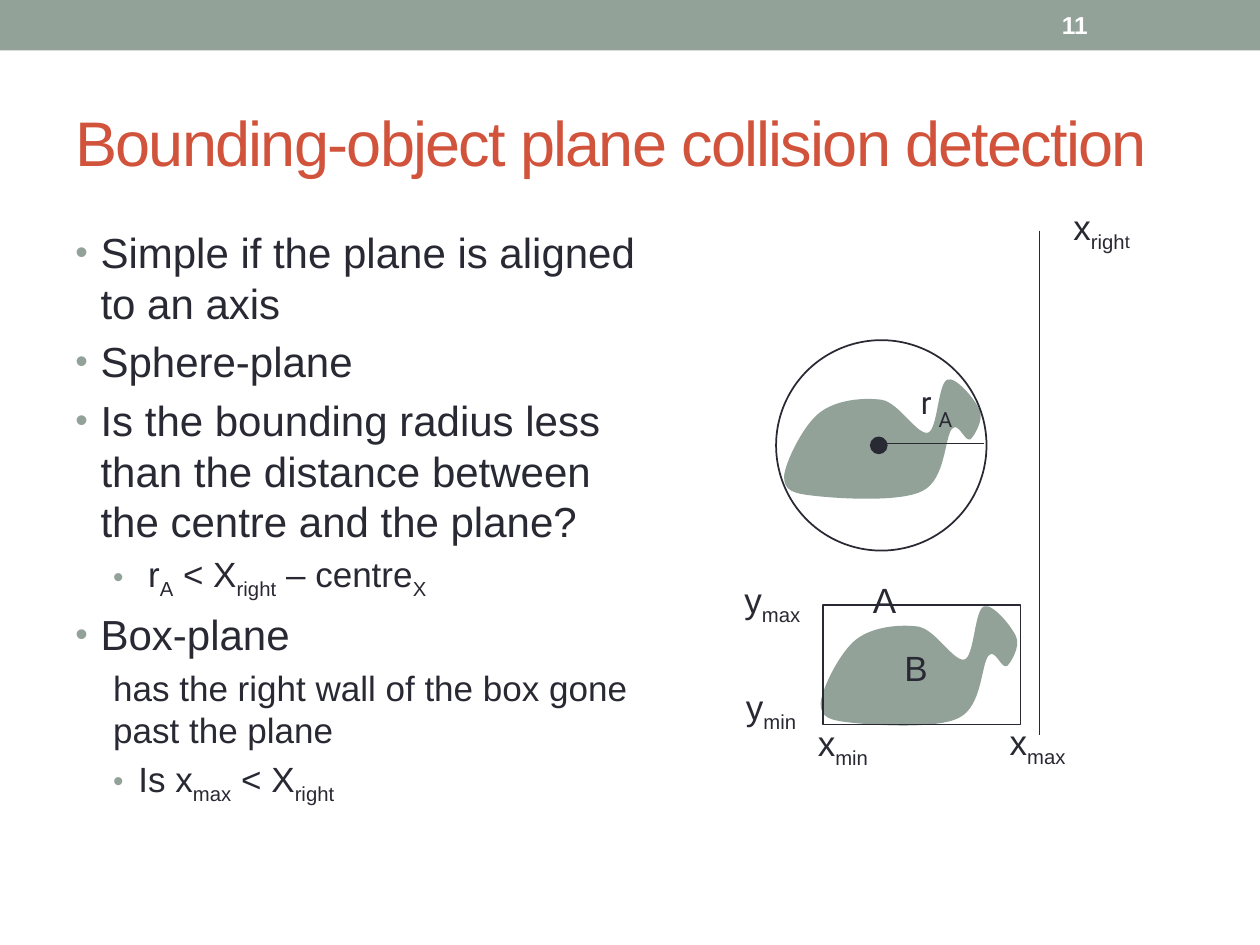
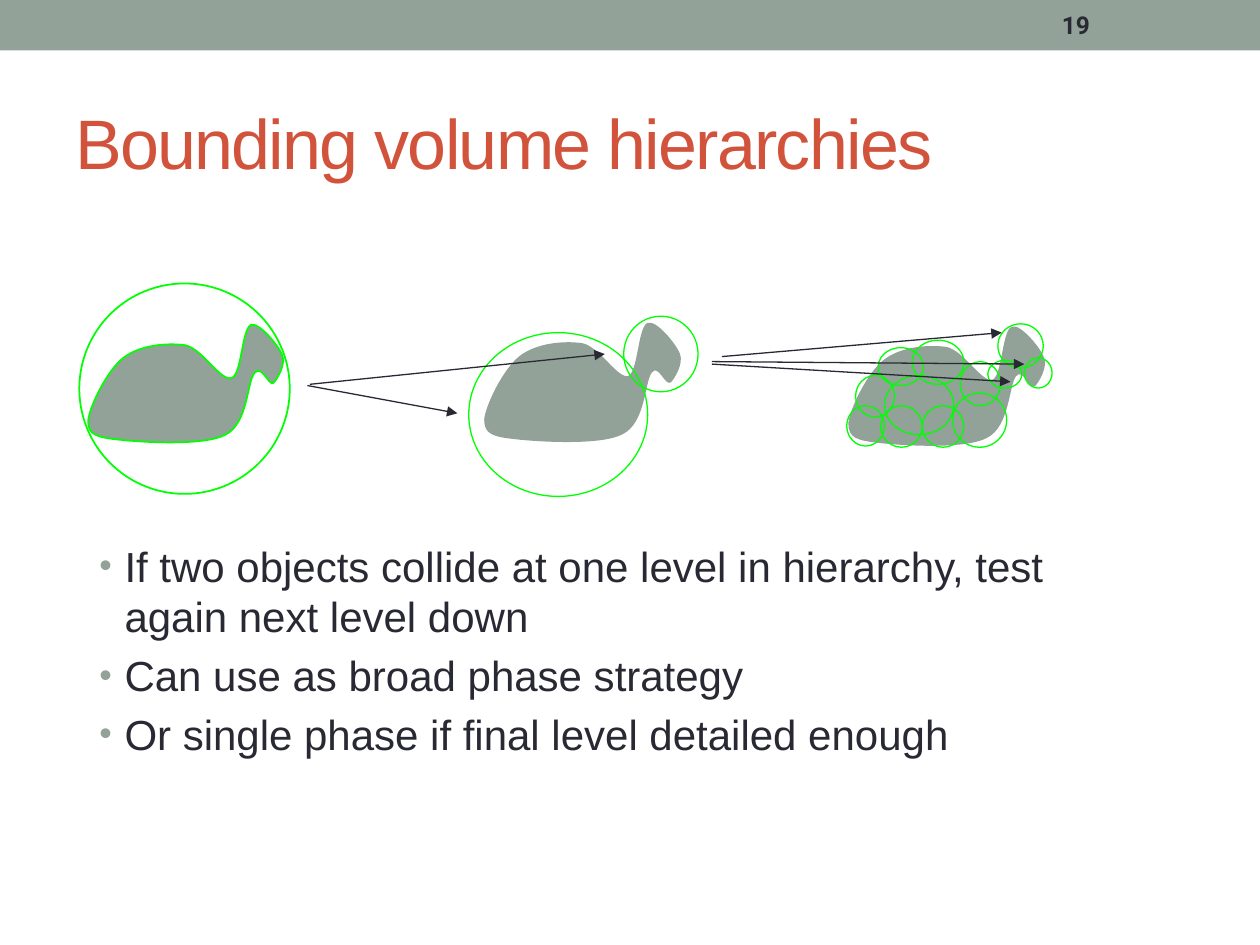
from lxml.etree import SubElement
from pptx import Presentation
from pptx.dml.color import RGBColor
from pptx.enum.shapes import MSO_CONNECTOR as CONN, MSO_SHAPE as SHAPE
from pptx.enum.text import MSO_ANCHOR as ANCHOR, PP_ALIGN as ALIGN
from pptx.oxml.ns import qn
from pptx.util import Inches, Pt

SAGE, RUST, INK, WHITE, GREEN = "93A299", "D2533C", "292934", "FFFFFF", "00FF00"

# The blob outline: a start point, then cubic curves (two handles and an end)
BLOB_SIZE = (1.57, 0.98)
BLOB_START = (0, 0.79)
BLOB_CURVES = [
    ((0.01, 0.68), (0.15, 0.39), (0.28, 0.29)),
    ((0.41, 0.19), (0.62, 0.17), (0.77, 0.19)),
    ((0.91, 0.22), (1.05, 0.48), (1.14, 0.45)),
    ((1.22, 0.42), (1.22, 0.07), (1.29, 0.03)),
    ((1.35, 0), (1.51, 0.19), (1.54, 0.27)),
    ((1.57, 0.34), (1.5, 0.46), (1.47, 0.49)),
    ((1.43, 0.51), (1.38, 0.34), (1.32, 0.41)),
    ((1.26, 0.48), (1.27, 0.81), (1.09, 0.9)),
    ((0.92, 0.99), (0.43, 0.96), (0.25, 0.94)),
    ((0.06, 0.92), (0, 0.9), (0, 0.79)),
]


def rgb(color):
    return RGBColor.from_string(color)


def paint(sp, fill=None, line=None, width=0.75):
    sp.shadow.inherit = False
    if fill:
        sp.fill.solid()
        sp.fill.fore_color.rgb = rgb(fill)
    else:
        sp.fill.background()
    if line:
        sp.line.color.rgb = rgb(line)
        sp.line.width = Pt(width)
    else:
        sp.line.fill.background()


def add_preset(s, kind, box, **style):
    sp = s.shapes.add_shape(kind, *map(Inches, box))
    paint(sp, **style)


def add_blob(s, x, y, line=SAGE):
    builder = s.shapes.build_freeform(*map(Inches, BLOB_START))
    builder.add_line_segments([tuple(map(Inches, c[-1])) for c in BLOB_CURVES])
    sp = builder.convert_to_shape()
    sp.left, sp.top = Inches(x), Inches(y)
    sp.width, sp.height = map(Inches, BLOB_SIZE)
    # Turn the straight segments into cubic curves
    outline = next(sp._element.iter(qn("a:path")))
    outline.set("w", str(sp.width))
    outline.set("h", str(sp.height))
    for part in list(outline):
        outline.remove(part)
    for tag, points in [("a:moveTo", [BLOB_START])] + [("a:cubicBezTo", c) for c in BLOB_CURVES]:
        part = SubElement(outline, qn(tag))
        for px, py in points:
            SubElement(part, qn("a:pt"), x=str(Inches(px)), y=str(Inches(py)))
    SubElement(outline, qn("a:close"))
    paint(sp, SAGE, line, 1)


def add_line(s, start, end, arrow=False):
    cn = s.shapes.add_connector(CONN.STRAIGHT, *map(Inches, start + end))
    cn.line.color.rgb = rgb(INK)
    cn.line.width = Pt(0.75)
    if arrow:
        SubElement(cn.line._get_or_add_ln(), qn("a:tailEnd"), type="triangle")
    SubElement(cn._element.spPr, qn("a:effectLst"))


def add_run(p, text, size, color=INK, font="Arial", bold=False, sub=False, spacing=None):
    r = p.add_run()
    r.text = text
    r.font.size = Pt(size)
    r.font.name = font
    r.font.bold = bold
    r.font.color.rgb = rgb(color)
    if sub:
        r._r.get_or_add_rPr().set("baseline", "-25000")
    if spacing:
        r._r.get_or_add_rPr().set("spc", str(spacing))


def add_frame(s, box, anchor=ANCHOR.TOP):
    tf = s.shapes.add_textbox(*map(Inches, box)).text_frame
    tf.word_wrap = True
    tf.vertical_anchor = anchor
    return tf


def add_label(s, box, text, sub="", size=20, align=ALIGN.CENTER, font="Arial"):
    p = add_frame(s, box).paragraphs[0]
    p.alignment = align
    add_run(p, text, size, font=font)
    if sub:
        add_run(p, sub, size, font=font, sub=True)
    return p


def add_header(s, title, size, number, **number_style):
    # Band, title and slide number
    add_preset(s, SHAPE.RECTANGLE, (0, 0, 10, 0.4), fill=SAGE)
    p = add_frame(s, (0.5, 0.58, 9, 1.08), ANCHOR.MIDDLE).paragraphs[0]
    add_run(p, title, size, RUST, spacing=-100)
    p = add_frame(s, (8.33, 0.02, 1.17, 0.36), ANCHOR.MIDDLE).paragraphs[0]
    add_run(p, number, 14, bold=True, **number_style)


def add_body(s, box, items):
    """Items are (level, bulleted, runs); every second run is a subscript."""
    tf = add_frame(s, box)
    for i, (level, bulleted, runs) in enumerate(items):
        p = tf.add_paragraph() if i else tf.paragraphs[0]
        size = 20 if level else 24
        p.level = level
        p.space_before = Pt(size * 0.2)
        pPr = p._p.get_or_add_pPr()
        hang = 0.2 if bulleted else 0
        pPr.set("marL", str(Inches(0.3 * level + hang)))
        pPr.set("indent", str(-Inches(hang)))
        if bulleted:
            SubElement(SubElement(pPr, qn("a:buClr")), qn("a:srgbClr"), val=SAGE)
            SubElement(pPr, qn("a:buSzPct"), val="85000")
            SubElement(pPr, qn("a:buFont"), typeface="Arial")
            SubElement(pPr, qn("a:buChar"), char="•")
        for j, text in enumerate(runs):
            add_run(p, text, size, sub=j % 2 == 1)


def add_sphere(s, x, y):
    # Blob A in its bounding circle, with the radius marked
    add_label(s, (x + 0.61, y + 1.84, 0.5, 0.43), "A")
    add_blob(s, x + 0.07, y + 0.29)
    add_preset(s, SHAPE.OVAL, (x, y, 1.67, 1.67), line=INK, width=1)
    add_preset(s, SHAPE.OVAL, (x + 0.75, y + 0.77, 0.13, 0.13), fill=INK, line=INK)
    add_line(s, (x + 0.84, y + 0.82), (x + 1.65, y + 0.82))
    for dx, dy, h, text, size in [(1.05, 0.29, 0.4, "r", 18), (1.19, 0.48, 0.3, "A", 12)]:
        add_label(s, (x + dx, y + dy, 0.29, h), text, size=size,
                  align=ALIGN.LEFT, font="Roboto")


def add_bounding_box(s, x, y):
    # Blob B in its bounding box, with the limits of both axes
    add_blob(s, x - 0.01, y - 0.01)
    add_preset(s, SHAPE.RECTANGLE, (x, y, 1.57, 0.95), line=INK, width=1)
    for dx, dy, w, text, sub in [
        (-0.19, 0.88, 0.7, "x", "min"),
        (1.24, 0.87, 0.93, "x", "max"),
        (-0.74, 0.59, 0.66, "y", "min"),
        (-0.81, -0.26, 0.82, "y", "max"),
        (0.33, 0.28, 0.82, "B", ""),
    ]:
        add_label(s, (x + dx, y + dy, w, 0.43), text, sub)


def add_plane(s, x, top, bottom):
    add_line(s, (x, top), (x, bottom))
    p = add_label(s, (x + 0.17, top - 0.25, 0.83, 0.44), "x", "righ", align=ALIGN.LEFT)
    add_run(p, "t", 18, sub=True)


def add_hierarchy(s):
    # Level 1: one circle
    add_blob(s, 0.7, 2.55, GREEN)
    add_preset(s, SHAPE.OVAL, (0.63, 2.25, 1.67, 1.67), line=GREEN, width=1)
    # Levels 2 and 3: two circles, then many
    add_blob(s, 3.85, 2.54)
    add_blob(s, 6.74, 2.57)
    for box in [
        (4.95, 2.51, 0.59, 0.6), (3.72, 2.64, 1.42, 1.3),
        (8.13, 2.84, 0.22, 0.24), (7.92, 2.57, 0.36, 0.35), (7.84, 2.86, 0.27, 0.22),
        (6.72, 3.22, 0.3, 0.32), (6.79, 2.98, 0.31, 0.33), (6.97, 2.76, 0.36, 0.3),
        (7.24, 2.7, 0.41, 0.35), (7.62, 2.87, 0.32, 0.35), (7.02, 2.98, 0.55, 0.47),
        (6.99, 3.22, 0.33, 0.33), (7.56, 3.12, 0.43, 0.43), (7.32, 3.22, 0.33, 0.33),
    ]:
        add_preset(s, SHAPE.OVAL, box, line=GREEN)
    # Arrows from each level to the next
    for start, end in [
        ((2.44, 3.06), (3.63, 3.28)), ((5.73, 2.83), (7.95, 2.64)),
        ((2.46, 3.05), (4.8, 2.81)), ((5.65, 2.87), (8.13, 2.89)),
        ((5.65, 2.89), (8.02, 3.03)),
    ]:
        add_line(s, start, end, arrow=True)


def build_plane_slide(s):
    add_header(s, "Bounding-object plane collision detection", 36, "11", color=WHITE)
    add_body(s, (0.5, 1.75, 4.67, 5.33), [
        (0, True, ["Simple if the plane is aligned to an axis"]),
        (0, True, ["Sphere-plane"]),
        (0, True, ["Is the bounding radius less than the distance between "
                   "the centre and the plane?"]),
        (1, True, [" r", "A", " < X", "right", " – centre", "X"]),
        (0, True, ["Box-plane"]),
        (1, False, ["has the right wall of the box gone past the plane"]),
        (1, True, ["Is x", "max", " < X", "right"]),
    ])
    add_sphere(s, 6.16, 2.7)
    add_plane(s, 8.25, 1.83, 5.83)
    add_bounding_box(s, 6.53, 4.8)


def build_hierarchy_slide(s):
    add_header(s, "Bounding volume hierarchies", 40, "19", font="Roboto")
    add_body(s, (0.69, 4.24, 8.53, 3.01), [
        (0, True, ["If two objects collide at one level in hierarchy, "
                   "test again next level down"]),
        (0, True, ["Can use as broad phase strategy"]),
        (0, True, ["Or single phase if final level detailed enough"]),
    ])
    add_hierarchy(s)


prs = Presentation()
prs.slide_width, prs.slide_height = Inches(10), Inches(7.5)
for build in (build_plane_slide, build_hierarchy_slide):
    build(prs.slides.add_slide(prs.slide_layouts[6]))
prs.save("out.pptx")
